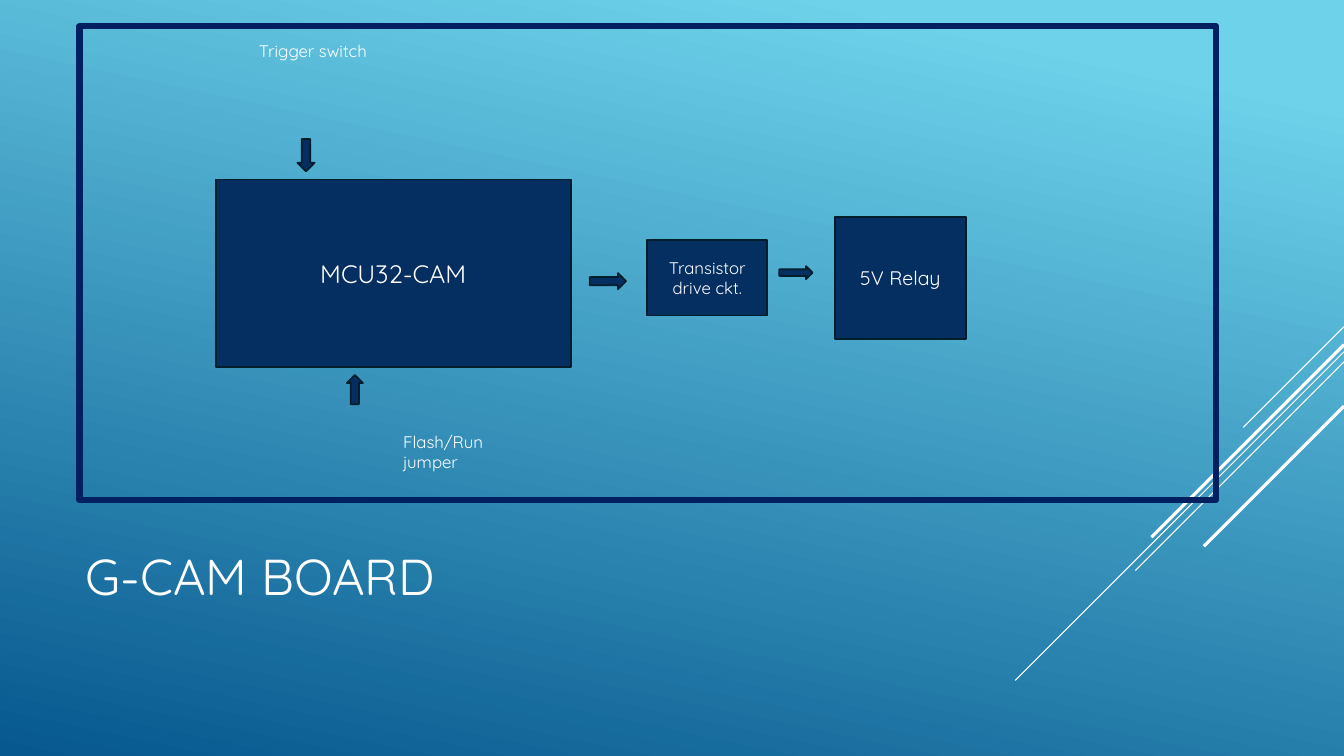
import dataclasses

import pptx
import pptx.dml.color
import pptx.enum.shapes
import pptx.enum.text
import pptx.oxml.ns
import pptx.util
from lxml import etree

Inches = pptx.util.Inches
Pt = pptx.util.Pt
Shape = pptx.enum.shapes.MSO_SHAPE
Align = pptx.enum.text.PP_ALIGN
Anchor = pptx.enum.text.MSO_ANCHOR

PAGE_WIDTH, PAGE_HEIGHT = 13.33, 7.5


def rgb(code):
    return pptx.dml.color.RGBColor.from_string(code)


@dataclasses.dataclass(frozen=True)
class Theme:
    font: str = "Quicksand"
    text: str = "FFFFFF"
    block: str = "052F61"
    outline: str = "021E2B"
    frame: str = "002060"
    sky: str = "6ED2EB"
    deep: str = "06588E"
    title_size: int = 36
    main_size: int = 18
    relay_size: int = 14
    small_size: int = 12
    outline_width: float = 1.25
    frame_width: float = 4.5


THEME = Theme()

# Diagonals rise at 45 degrees to the right edge: height at the edge, run, line width
DIAGONALS = [
    (3.24, 1.0, 0.75),
    (3.49, 3.26, 0.75),
    (3.59, 2.07, 0.75),
    (3.42, 1.91, 2.25),
    (4.03, 1.39, 2.25),
]
BLOCKS = [
    ("MCU32-CAM", THEME.main_size, (2.14, 1.78, 3.52, 1.86)),
    ("Transistor drive ckt.", THEME.small_size, (6.42, 2.38, 1.19, 0.75)),
    ("5V Relay", THEME.relay_size, (8.28, 2.15, 1.3, 1.21)),
]
ARROWS = [
    (Shape.DOWN_ARROW, (2.95, 1.38, 0.17, 0.32)),
    (Shape.RIGHT_ARROW, (5.85, 2.71, 0.36, 0.16)),
    (Shape.RIGHT_ARROW, (7.73, 2.64, 0.33, 0.13)),
    (Shape.UP_ARROW, (3.44, 3.72, 0.16, 0.29)),
]
LABELS = [
    ("Trigger switch", (2.47, 0.36, 1.31, 0.3)),
    ("Flash/Run jumper", (3.9, 4.23, 1.31, 0.5)),
]


def place(area):
    return [Inches(length) for length in area]


def write(box, text, size, align=Align.LEFT, anchor=Anchor.TOP):
    frame = box.text_frame
    frame.word_wrap = True
    frame.vertical_anchor = anchor
    frame.text = text
    para = frame.paragraphs[0]
    para.alignment = align
    para.font.name = THEME.font
    para.font.size = Pt(size)
    para.font.color.rgb = rgb(THEME.text)


def paint_background(page):
    fill = page.background.fill
    fill.gradient()
    fill.gradient_angle = 360 - 102
    stops = [(0.1, THEME.sky), (1, THEME.deep)]
    for stop, (position, color) in zip(fill.gradient_stops, stops):
        stop.position = position
        stop.color.rgb = rgb(color)


def add_diagonal(page, height, run, width):
    line = page.shapes.add_connector(
        pptx.enum.shapes.MSO_CONNECTOR.STRAIGHT,
        *place((PAGE_WIDTH, height, PAGE_WIDTH - run, height + run)))
    line.line.color.rgb = rgb(THEME.text)
    line.line.width = Pt(width)
    etree.SubElement(line._element.spPr, pptx.oxml.ns.qn("a:effectLst"))


def add_title(page, text, area):
    title = page.shapes.title
    title.left, title.top, title.width, title.height = place(area)
    write(title, text, THEME.title_size, anchor=Anchor.MIDDLE)
    title.text_frame.auto_size = pptx.enum.text.MSO_AUTO_SIZE.NONE


def add_solid(page, kind, area):
    solid = page.shapes.add_shape(kind, *place(area))
    solid.shadow.inherit = False
    solid.fill.solid()
    solid.fill.fore_color.rgb = rgb(THEME.block)
    solid.line.color.rgb = rgb(THEME.outline)
    solid.line.width = Pt(THEME.outline_width)
    return solid


def add_block(page, text, size, area):
    block = add_solid(page, Shape.RECTANGLE, area)
    write(block, text, size, Align.CENTER, Anchor.MIDDLE)


def add_label(page, text, area):
    label = page.shapes.add_textbox(*place(area))
    write(label, text, THEME.small_size)
    label.text_frame.auto_size = pptx.enum.text.MSO_AUTO_SIZE.SHAPE_TO_FIT_TEXT


def add_frame(page, area):
    frame = page.shapes.add_shape(Shape.RECTANGLE, *place(area))
    frame.shadow.inherit = False
    frame.fill.background()
    frame.line.color.rgb = rgb(THEME.frame)
    frame.line.width = Pt(THEME.frame_width)


def main():
    deck = pptx.Presentation()
    deck.slide_width = Inches(PAGE_WIDTH)
    deck.slide_height = Inches(PAGE_HEIGHT)
    page = deck.slides.add_slide(deck.slide_layouts.get_by_name("Title Only"))

    paint_background(page)
    for diagonal in DIAGONALS:
        add_diagonal(page, *diagonal)
    add_title(page, "G-CAM BOARD", (0.75, 4.88, 9.33, 1.65))
    for block in BLOCKS:
        add_block(page, *block)
    for arrow in ARROWS:
        add_solid(page, *arrow)
    for label in LABELS:
        add_label(page, *label)
    add_frame(page, (0.79, 0.26, 11.27, 4.7))
    deck.save("out.pptx")


if __name__ == "__main__":
    main()
